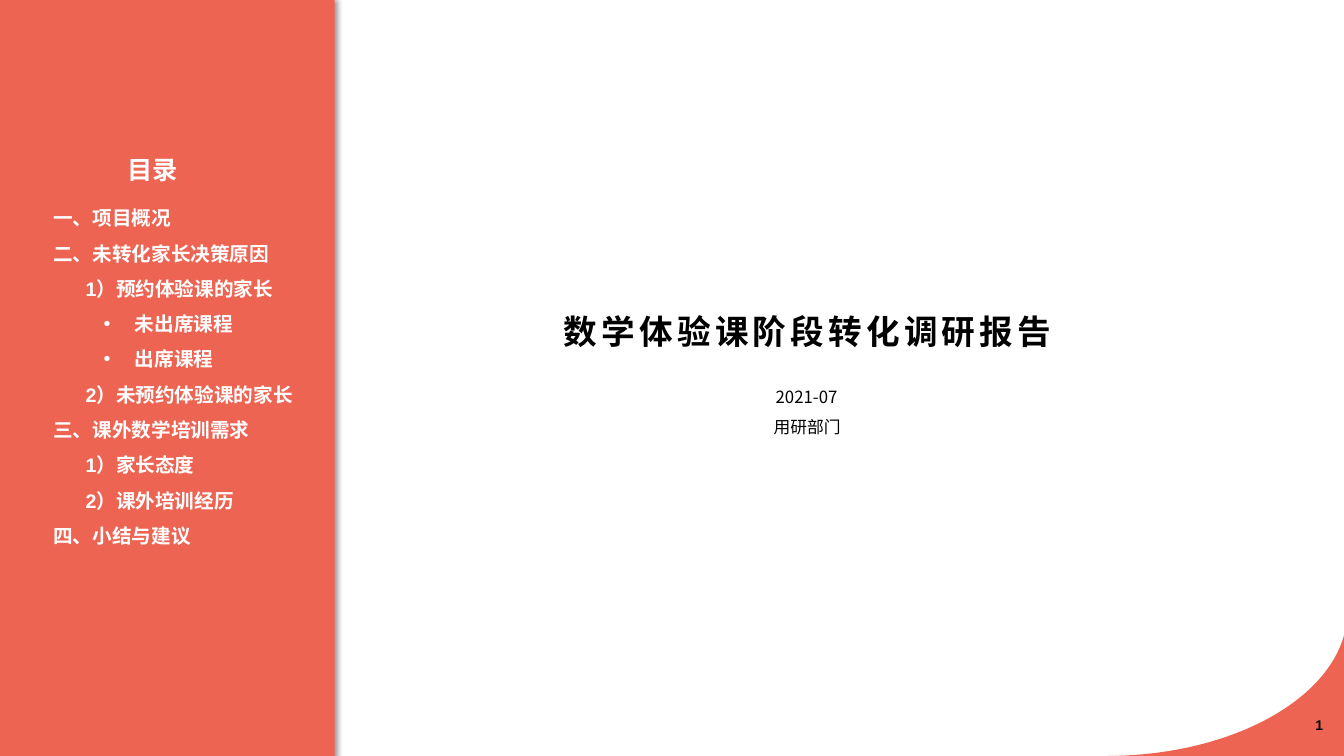
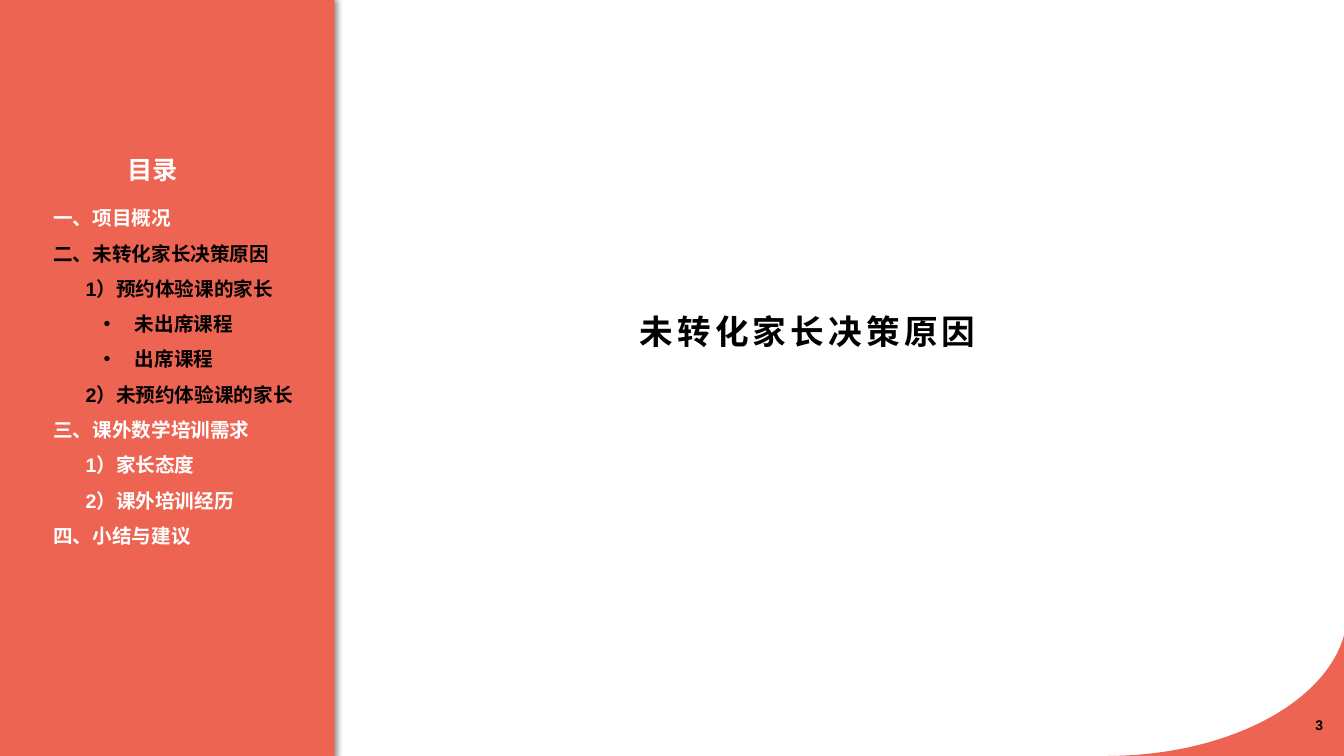
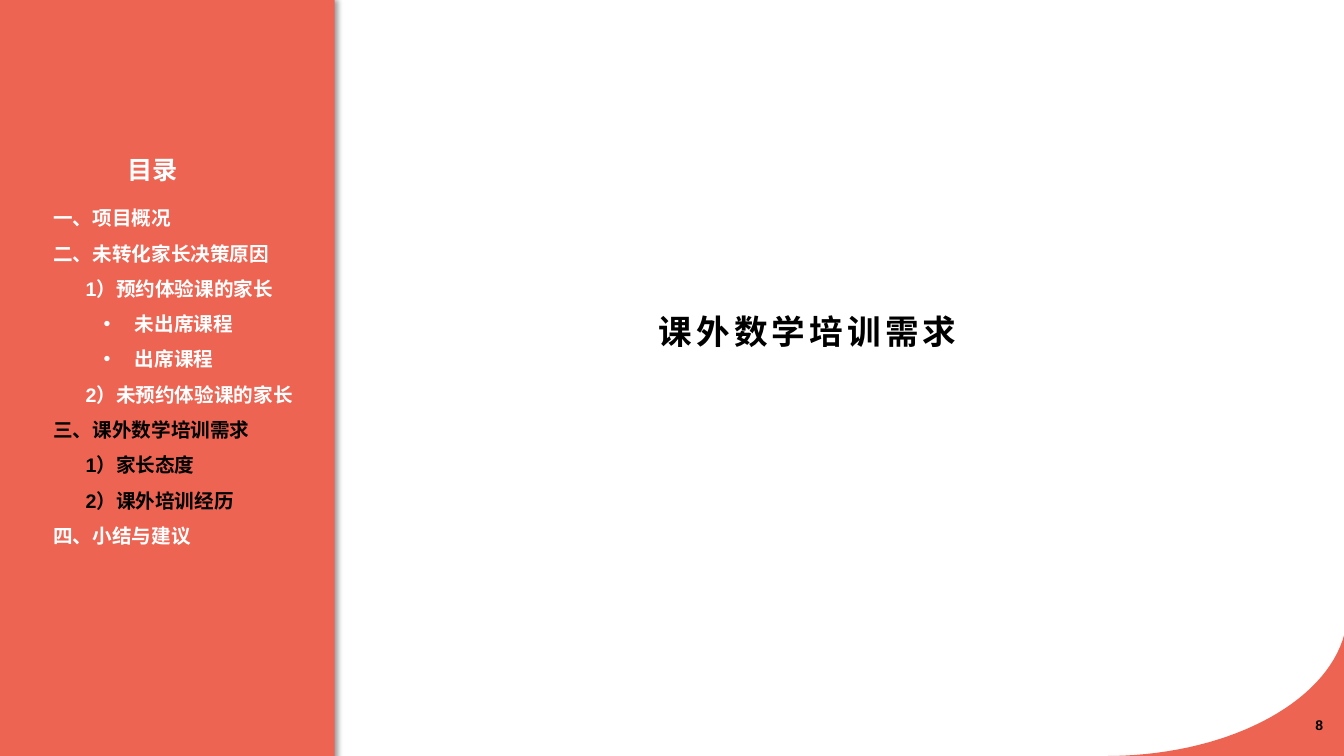
from pptx import Presentation
from pptx.dml.color import RGBColor
from pptx.enum.shapes import MSO_SHAPE
from pptx.enum.text import MSO_ANCHOR, PP_ALIGN
from pptx.oxml.ns import qn
from pptx.util import Pt
from lxml.etree import SubElement

PX = 9144  # 100 px to the inch
COLORS = {"coral": "EE6453", "white": "FFFFFF", "black": "000000"}
LATIN, CHINESE = "Arial", "Noto Sans CJK SC"

# Contents: one list per chapter, each entry is (style, text)
CHAPTERS = [
    [("chapter", "一、项目概况")],
    [
        ("section", "1）预约体验课的家长"),
        ("bullet", "未出席课程"),
        ("bullet", "出席课程"),
        ("section", "2）未预约体验课的家长"),
    ],
    [("section", "1）家长态度"), ("section", "2）课外培训经历")],
    [("chapter", "四、小结与建议")],
]
CHAPTERS[1].insert(0, ("chapter", "二、未转化家长决策原因"))
CHAPTERS[2].insert(0, ("chapter", "三、课外数学培训需求"))

# Left margin and first-line indent of each contents style
INDENTS = {"chapter": (0, 0), "section": (32, 0), "bullet": (81, -31)}


def rgb(name):
    return RGBColor.from_string(COLORS[name])


def fill_plain(shape, color):
    shape.fill.solid()
    shape.fill.fore_color.rgb = rgb(color)
    shape.line.fill.background()
    shape.shadow.inherit = False


def add_box(page, left, top, width, height, anchor=MSO_ANCHOR.TOP):
    box = page.shapes.add_textbox(left * PX, top * PX, width * PX, height * PX)
    box.text_frame.word_wrap = True
    box.text_frame.vertical_anchor = anchor
    return box.text_frame


def write(para, text, size=12, color="black", bold=False, font=LATIN,
          align=PP_ALIGN.LEFT, line_spacing=None, tracking=0):
    para.alignment = align
    para.line_spacing = line_spacing
    span = para.add_run()
    span.text = text
    span.font.size = Pt(size)
    span.font.bold = bold
    span.font.name = font
    span.font.color.rgb = rgb(color)
    properties = span.font._element
    SubElement(properties, qn("a:ea")).set("typeface", font)
    if tracking:
        properties.set("spc", str(tracking * 100))


def indent(para, style):
    margin, first_line = INDENTS[style]
    properties = para._p.get_or_add_pPr()
    properties.set("marL", str(margin * PX))
    properties.set("indent", str(first_line * PX))
    if style == "bullet":
        para.level = 1
        SubElement(properties, qn("a:buFont")).set("typeface", LATIN)
        SubElement(properties, qn("a:buChar")).set("char", "•")


def add_title(page, text):
    frame = add_box(page, 301, 261, 1000, 92, MSO_ANCHOR.BOTTOM)
    write(frame.paragraphs[0], text, size=24, bold=True,
          align=PP_ALIGN.CENTER, line_spacing=1.5, tracking=3)


def curve_points(start, control_1, control_2, end, steps=32):
    """Points along a cubic curve, without its start."""
    for step in range(1, steps + 1):
        t = step / steps
        weights = ((1 - t) ** 3, 3 * t * (1 - t) ** 2, 3 * t * t * (1 - t), t ** 3)
        yield tuple(
            sum(weight * value for weight, value in zip(weights, values))
            for values in zip(start, control_1, control_2, end)
        )


def add_corner(page):
    arc_start = (1103, 750)
    arc = curve_points(arc_start, (1224, 748), (1322, 693), (1335, 622))
    outline = [(1337, 751), (1102, 753), (1099, 750), arc_start, *arc]
    builder = page.shapes.build_freeform(1336 * PX, 621 * PX)
    builder.add_line_segments([(round(x * PX), round(y * PX)) for x, y in outline])
    fill_plain(builder.convert_to_shape(), "coral")


def add_sidebar(page):
    band = page.shapes.add_shape(MSO_SHAPE.RECTANGLE, 0, -3 * PX, 332 * PX, 755 * PX)
    fill_plain(band, "coral")
    effects = band._element.spPr.find(qn("a:effectLst"))
    shadow = SubElement(effects, qn("a:outerShdw"), blurRad=str(Pt(4)),
                        dist=str(Pt(3)), dir=str(45 * 60000), rotWithShape="0")
    tint = SubElement(shadow, qn("a:srgbClr"), val=COLORS["black"])
    SubElement(tint, qn("a:alpha"), val="40000")


def add_contents(page, current):
    heading = add_box(page, 85, 148, 133, 40)
    write(heading.paragraphs[0], "目录", size=18, color="white", bold=True,
          align=PP_ALIGN.CENTER)
    frame = add_box(page, 43, 188, 363, 363)
    entries = [(number, *entry) for number, chapter in enumerate(CHAPTERS, 1)
               for entry in chapter]
    for position, (number, style, text) in enumerate(entries):
        para = frame.add_paragraph() if position else frame.paragraphs[0]
        write(para, text, size=14, bold=True, line_spacing=1.5,
              color="black" if number == current else "white")
        indent(para, style)


def add_page_number(page, number):
    frame = add_box(page, 1022, 699, 300, 40, MSO_ANCHOR.MIDDLE)
    write(frame.paragraphs[0], str(number), size=10, bold=True,
          align=PP_ALIGN.RIGHT)


def add_page(deck, title, number, current=None):
    """A page with everything the slides share; current is the marked chapter."""
    page = deck.slides.add_slide(deck.slide_layouts[6])
    add_title(page, title)
    add_corner(page)
    add_sidebar(page)
    add_contents(page, current)
    add_page_number(page, number)
    return page


def main():
    deck = Presentation()
    deck.slide_width, deck.slide_height = 1333 * PX, 750 * PX

    # Cover
    cover = add_page(deck, "数学体验课阶段转化调研报告", 1)
    date = add_box(cover, 740, 379, 120, 30)
    write(date.paragraphs[0], "2021-07", font=CHINESE, align=PP_ALIGN.CENTER)
    department = add_box(cover, 697, 409, 207, 30)
    write(department.paragraphs[0], "用研部门", align=PP_ALIGN.CENTER)

    # Chapter openers
    add_page(deck, "未转化家长决策原因", 3, current=2)
    add_page(deck, "课外数学培训需求", 8, current=3)

    deck.save("out.pptx")


if __name__ == "__main__":
    main()
